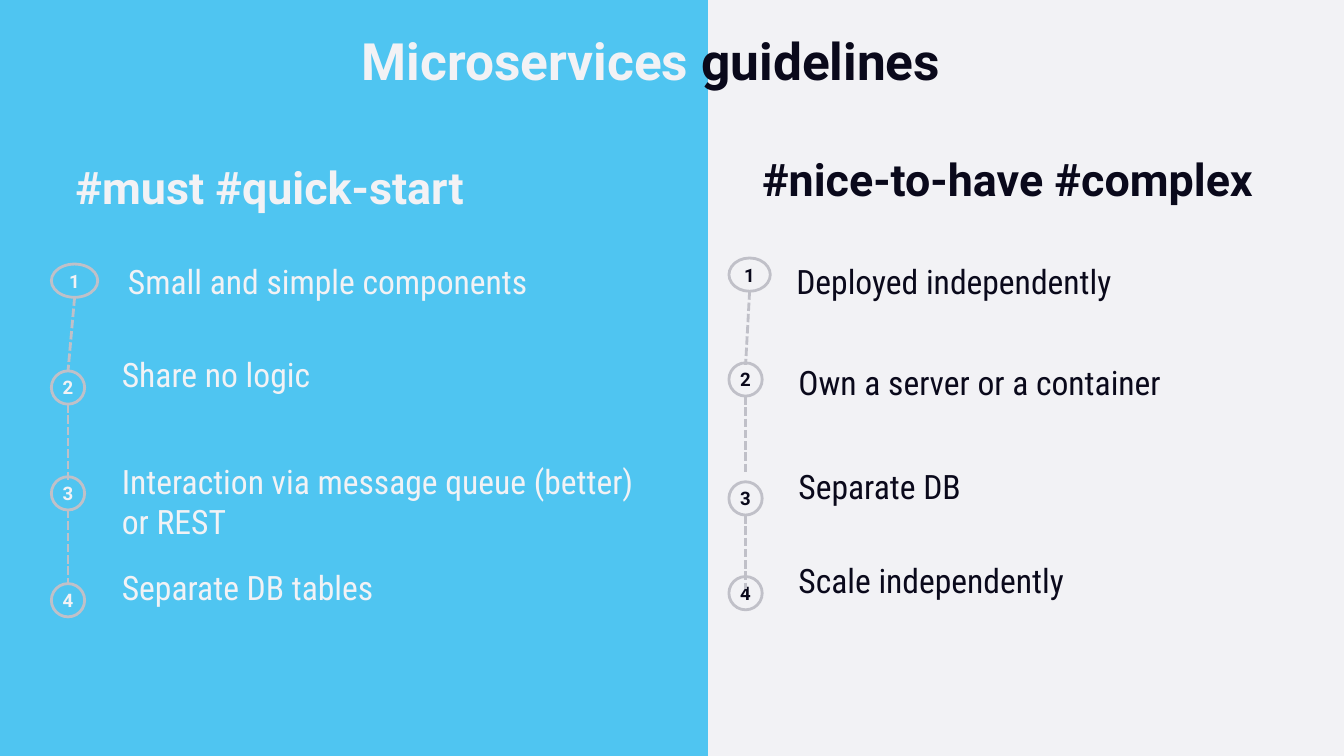
from dataclasses import dataclass

from lxml import etree
from pptx import Presentation
from pptx import util as u
from pptx.dml.color import RGBColor
from pptx.enum import dml, shapes, text
from pptx.oxml.ns import qn

WIDTH, HEIGHT = 13.33, 7.5
SPLIT = 7.02
BADGE = 0.33
LIGHT, DARK, BLUE, GREY = "F2F2F5", "0A091B", "00B0F0", "C0C0C8"


@dataclass
class Step:
    """Tops are slide positions; text_left is measured from the column edge."""
    label: str
    badge_top: float
    text_left: float
    text_top: float
    text_width: float
    text_height: float = 0.5
    badge_width: float = BADGE
    link_end: float = 0


MUST = [
    Step("Small and simple components", 2.62, 1.17, 2.54, 4.66, badge_width=0.46, link_end=3.68),
    Step("Share no logic", 3.68, 1.11, 3.46, 3.39, link_end=4.76),
    Step("Interaction via message queue (better) or REST", 4.73, 1.11, 4.52, 5.49, 0.91,
         link_end=5.79),
    Step("Separate DB tables", 5.79, 1.11, 5.58, 3.39),
]
NICE = [
    Step("Deployed independently", 2.56, 0.78, 2.54, 4.16, badge_width=0.41, link_end=3.62),
    Step("Own a server or a container", 3.6, 0.8, 3.54, 4.78, link_end=4.68),
    Step("Separate DB", 4.78, 0.8, 4.57, 3.39, link_end=5.84),
    Step("Scale independently", 5.72, 0.8, 5.51, 3.39),
]


def color(value):
    return RGBColor.from_string(value)


def inches(*values):
    return [u.Inches(value) for value in values]


def style(span, size, name, ink, bold=False):
    span.font.size = u.Pt(size)
    span.font.name = name
    span.font.bold = bold
    span.font.color.rgb = color(ink)


def add_text(page, box, words, size, name, ink, bold=False, spacing=1.0):
    frame = page.shapes.add_textbox(*inches(*box)).text_frame
    frame.word_wrap = True
    frame.text = words
    para = frame.paragraphs[0]
    para.line_spacing = spacing
    style(para.runs[0], size, name, ink, bold)


def add_panel(page, box):
    """Half-clear colour field, sent behind the title."""
    panel = page.shapes.add_shape(shapes.MSO_SHAPE.RECTANGLE, *inches(*box))
    panel.shadow.inherit = False
    panel.line.fill.background()
    panel.fill.solid()
    panel.fill.fore_color.rgb = color(BLUE)
    tint = panel.fill._xPr.find(".//" + qn("a:srgbClr"))
    etree.SubElement(tint, qn("a:alpha"), val="67000")
    page.shapes._spTree.insert(2, panel._element)


def add_title(page, box):
    title = page.shapes.title
    title.left, title.top, title.width, title.height = inches(*box)
    frame = title.text_frame
    frame.auto_size = text.MSO_AUTO_SIZE.NONE
    frame.vertical_anchor = text.MSO_ANCHOR.TOP
    para = frame.paragraphs[0]
    para.alignment = text.PP_ALIGN.LEFT
    para.line_spacing = 0.9
    for words, ink in (("Microservices ", LIGHT), ("guidelines", DARK)):
        span = para.add_run()
        span.text = words
        style(span, 36.7, "Roboto", ink, True)


def add_badge(page, box, number, ink):
    badge = page.shapes.add_shape(shapes.MSO_SHAPE.OVAL, *inches(*box))
    badge.shadow.inherit = False
    badge.fill.background()
    badge.line.color.rgb = color(GREY)
    badge.line.width = u.Pt(2)
    frame = badge.text_frame
    frame.margin_left = frame.margin_right = u.Inches(0.07)
    frame.margin_top = frame.margin_bottom = u.Inches(0.03)
    frame.vertical_anchor = text.MSO_ANCHOR.MIDDLE
    frame.word_wrap = False
    frame.text = str(number)
    para = frame.paragraphs[0]
    para.alignment = text.PP_ALIGN.CENTER
    style(para.runs[0], 13.3, "Roboto", ink, True)


def add_link(page, *ends):
    link = page.shapes.add_connector(shapes.MSO_CONNECTOR.STRAIGHT, *inches(*ends))
    link.line.color.rgb = color(GREY)
    link.line.width = u.Pt(2)
    link.line.dash_style = dml.MSO_LINE.SQUARE_DOT
    etree.SubElement(link._element.spPr, qn("a:effectLst"))


def add_column(page, left, badge_left, steps, ink):
    """Numbered steps, then the dashed links between their badges."""
    start = left + badge_left
    for number, step in enumerate(steps, 1):
        add_badge(page, (start, step.badge_top, step.badge_width, BADGE), number, ink)
        add_text(page, (left + step.text_left, step.text_top, step.text_width, step.text_height),
                 step.label, 24, "Roboto Condensed", ink)
    for step, following in zip(steps, steps[1:]):
        add_link(page, start + step.badge_width / 2, step.badge_top + BADGE,
                 start + following.badge_width / 2, step.link_end)


def main():
    deck = Presentation()
    deck.slide_width, deck.slide_height = inches(WIDTH, HEIGHT)
    page = deck.slides.add_slide(deck.slide_layouts[5])
    page.background.fill.solid()
    page.background.fill.fore_color.rgb = color(LIGHT)
    add_panel(page, (0, 0, SPLIT, HEIGHT))
    add_title(page, (3.49, 0.31, 6.44, 0.66))
    add_column(page, 0, 0.51, MUST, LIGHT)
    add_column(page, SPLIT, 0.21, NICE, DARK)
    for box, words, ink in (
        ((0.65, 1.6, 4.66, 0.59), "#must #quick-start", LIGHT),
        ((SPLIT + 0.44, 1.52, 5.36, 0.59), "#nice-to-have #complex", DARK),
    ):
        add_text(page, box, words, 32, "Roboto", ink, True, 0.9)
    deck.save("out.pptx")


if __name__ == "__main__":
    main()
